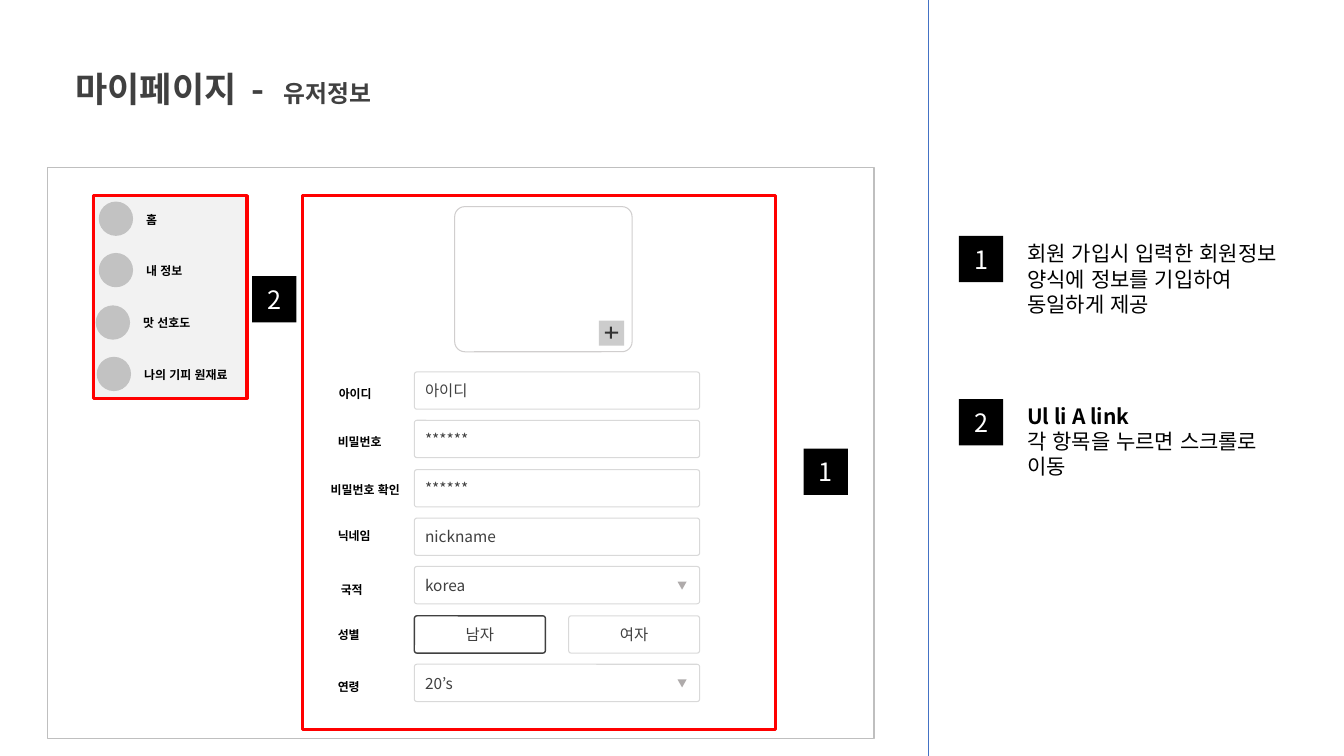
from dataclasses import dataclass
from lxml.etree import SubElement
from pptx import Presentation
from pptx.dml.color import RGBColor
from pptx.enum.lang import MSO_LANGUAGE_ID as Language
from pptx.enum.shapes import MSO_CONNECTOR as Connector, MSO_SHAPE as Preset
from pptx.enum.text import MSO_ANCHOR as Anchor, MSO_AUTO_SIZE as AutoSize, PP_ALIGN as Align
from pptx.oxml.ns import qn
from pptx.util import Emu, Pt

SCALE = 9144


@dataclass(frozen=True)
class Theme:
    font: str = "Noto Sans CJK KR"
    label_font: str = "Karla"
    black: str = "000000"
    white: str = "FFFFFF"
    dark: str = "404040"
    plus: str = "333333"
    frame: str = "BFBFBF"
    border: str = "D9D9D9"
    warm_border: str = "D0CECE"
    arrow: str = "AFABAB"
    menu: str = "F2F2F2"
    bullet: str = "C2C2C2"
    button: str = "CCCCCC"
    highlight: str = "FF0000"
    divider: str = "4472C4"
    title: float = 25
    subtitle: float = 17
    badge: float = 18
    note: float = 15
    field: float = 11
    label: float = 8.5


THEME = Theme()


def px(value):
    return Emu(value * SCALE)


def rgb(color):
    return RGBColor.from_string(color)


def apply(target, values):
    for name, value in values.items():
        setattr(target, name, value)


def add_span(para, text, size, color, bold=False, font=THEME.font, spacing=0):
    span = para.add_run()
    span.text = text
    apply(span.font, {"name": font, "size": Pt(size), "bold": bold,
                      "language_id": Language.KOREAN})
    span.font.color.rgb = rgb(color)
    properties = span.font._element
    SubElement(properties, qn("a:ea")).set("typeface", THEME.font)
    if spacing:
        properties.set("spc", str(spacing))


def paint(shape, fill=None, line=None, weight=0.75):
    shape.shadow.inherit = False
    if fill:
        shape.fill.solid()
        shape.fill.fore_color.rgb = rgb(fill)
    else:
        shape.fill.background()
    if line:
        shape.line.color.rgb = rgb(line)
        shape.line.width = Pt(weight)
    else:
        shape.line.fill.background()
    return shape


def add_box(page, preset, bounds, **style):
    return paint(page.shapes.add_shape(preset, *map(px, bounds)), **style)


def add_rounded(page, bounds, line=THEME.border, weight=0.75):
    box = add_box(page, Preset.ROUNDED_RECTANGLE, bounds, fill=THEME.white, line=line, weight=weight)
    box.adjustments[0] = 0.07
    return box


def add_caption(box, text, size, color, align):
    apply(box.text_frame, {"vertical_anchor": Anchor.MIDDLE, "word_wrap": True})
    para = box.text_frame.paragraphs[0]
    para.alignment = align
    add_span(para, text, size, color)


def add_title(page, text, dash, subtitle):
    box = page.shapes.title
    apply(box, {"left": px(65), "top": px(62), "width": px(330), "height": px(52)})
    apply(box.text_frame, {"word_wrap": False, "auto_size": AutoSize.NONE,
                           "vertical_anchor": Anchor.TOP})
    para = box.text_frame.paragraphs[0]
    para.alignment = Align.LEFT
    add_span(para, text, THEME.title, THEME.dark, True)
    add_span(para, dash, THEME.title, THEME.dark, True, spacing=400)
    add_span(para, subtitle, THEME.subtitle, THEME.dark, True)


def add_divider(page, x):
    line = page.shapes.add_connector(Connector.STRAIGHT, px(x), px(0), px(x), px(750))
    line.line.color.rgb = rgb(THEME.divider)
    line.line.width = Pt(0.5)
    SubElement(line._element.spPr, qn("a:effectLst"))


def add_badge(page, number, left, top):
    box = add_box(page, Preset.RECTANGLE, (left, top, 44, 46), fill=THEME.black)
    add_caption(box, number, THEME.badge, THEME.white, Align.CENTER)


def add_note(page, top, lines):
    frame = page.shapes.add_textbox(px(1009), px(top), px(292), px(86)).text_frame
    frame.word_wrap = True
    for index, (text, bold) in enumerate(lines):
        para = frame.add_paragraph() if index else frame.paragraphs[0]
        add_span(para, text, THEME.note, THEME.black, bold)


def add_label(page, text, left, top):
    frame = page.shapes.add_textbox(px(left), px(top), px(129), px(34)).text_frame
    apply(frame, {"word_wrap": True, "vertical_anchor": Anchor.MIDDLE, "margin_left": px(13),
                  "margin_right": px(6), "margin_top": px(5), "margin_bottom": px(5)})
    para = frame.paragraphs[0]
    para.line_spacing = 1.1
    add_span(para, text, THEME.label, THEME.black, True, THEME.label_font)


def add_field(page, text, top, left=411, width=283, align=Align.LEFT, **style):
    box = add_rounded(page, (left, top, width, 37), **style)
    add_caption(box, text, THEME.field, THEME.dark, align)


def add_dropdown(page, text, top):
    add_field(page, text, top)
    add_box(page, Preset.ISOSCELES_TRIANGLE, (672, top + 15, 9, 8), fill=THEME.arrow).rotation = 180


def add_gender(page, options, top):
    male, female = options
    add_field(page, male, top, 411, 130, Align.CENTER, line=THEME.dark, weight=1)
    add_field(page, female, top, 564, 130, Align.CENTER)


def add_menu(page):
    add_box(page, Preset.RECTANGLE, (91, 194, 152, 201), fill=THEME.menu)
    items = (("홈", 98), ("내 정보", 98), ("맛 선호도", 95), ("나의 기피 원재료", 96))
    for row, (text, left) in enumerate(items):
        top = round(200 + 51.4 * row)
        add_box(page, Preset.OVAL, (left, top, 34, 34), fill=THEME.bullet)
        add_label(page, text, left + 34, top)
    add_box(page, Preset.RECTANGLE, (93, 194, 152, 201), line=THEME.highlight, weight=2.25)


def add_form(page):
    rows = (
        ("아이디", 323, 373, add_field, "아이디"),
        ("비밀번호", 322, 421, add_field, "******"),
        ("비밀번호 확인", 315, 468, add_field, "******"),
        ("닉네임", 322, 514, add_field, "nickname"),
        ("국적", 325, 567, add_dropdown, "korea"),
        ("성별", 322, 612, add_gender, ("남자", "여자")),
        ("연령", 322, 664, add_dropdown, "20’s"),
    )
    for row, (label, left, top, add_input, value) in enumerate(rows):
        add_input(page, value, round(369 + 48.33 * row))
        add_label(page, label, left, top)


def add_photo(page):
    add_rounded(page, (451, 205, 176, 144), line=THEME.warm_border)
    add_box(page, Preset.RECTANGLE, (594, 318, 25, 25), fill=THEME.button)
    outline = ((605, 324), (605, 329), (600, 329), (600, 331), (605, 331), (605, 336),
               (607, 336), (607, 331), (613, 331), (613, 329), (607, 329), (607, 324))
    builder = page.shapes.build_freeform(*outline[0], scale=SCALE)
    builder.add_line_segments(outline[1:], close=True)
    paint(builder.convert_to_shape(), fill=THEME.plus)


def main():
    deck = Presentation()
    apply(deck, {"slide_width": px(1333), "slide_height": px(750)})
    page = deck.slides.add_slide(deck.slide_layouts[5])
    add_title(page, "마이페이지", " - ", "유저정보")
    add_box(page, Preset.RECTANGLE, (47, 166, 820, 567), fill=THEME.white, line=THEME.frame, weight=1)
    add_divider(page, 921)
    add_note(page, 234, [("회원 가입시 입력한 회원정보 양식에 정보를 기입하여 동일하게 제공", False)])
    add_note(page, 395, [("Ul li A link", True), ("각 항목을 누르면 스크롤로 이동", False)])
    add_menu(page)
    add_form(page)
    add_photo(page)
    add_box(page, Preset.RECTANGLE, (300, 194, 469, 530), line=THEME.highlight, weight=2.25)
    for number, left, top in (("1", 951, 234), ("2", 951, 396), ("1", 797, 445), ("2", 250, 274)):
        add_badge(page, number, left, top)
    deck.save("out.pptx")


if __name__ == "__main__":
    main()
